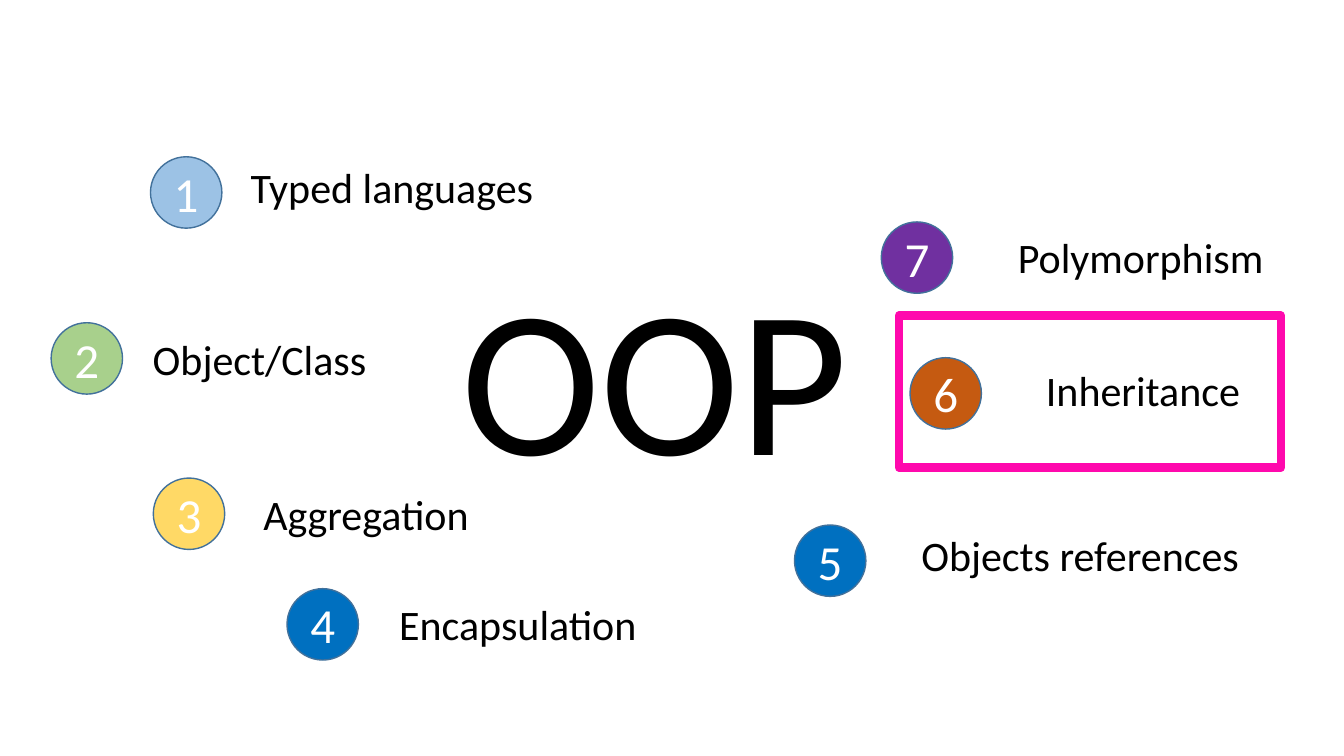
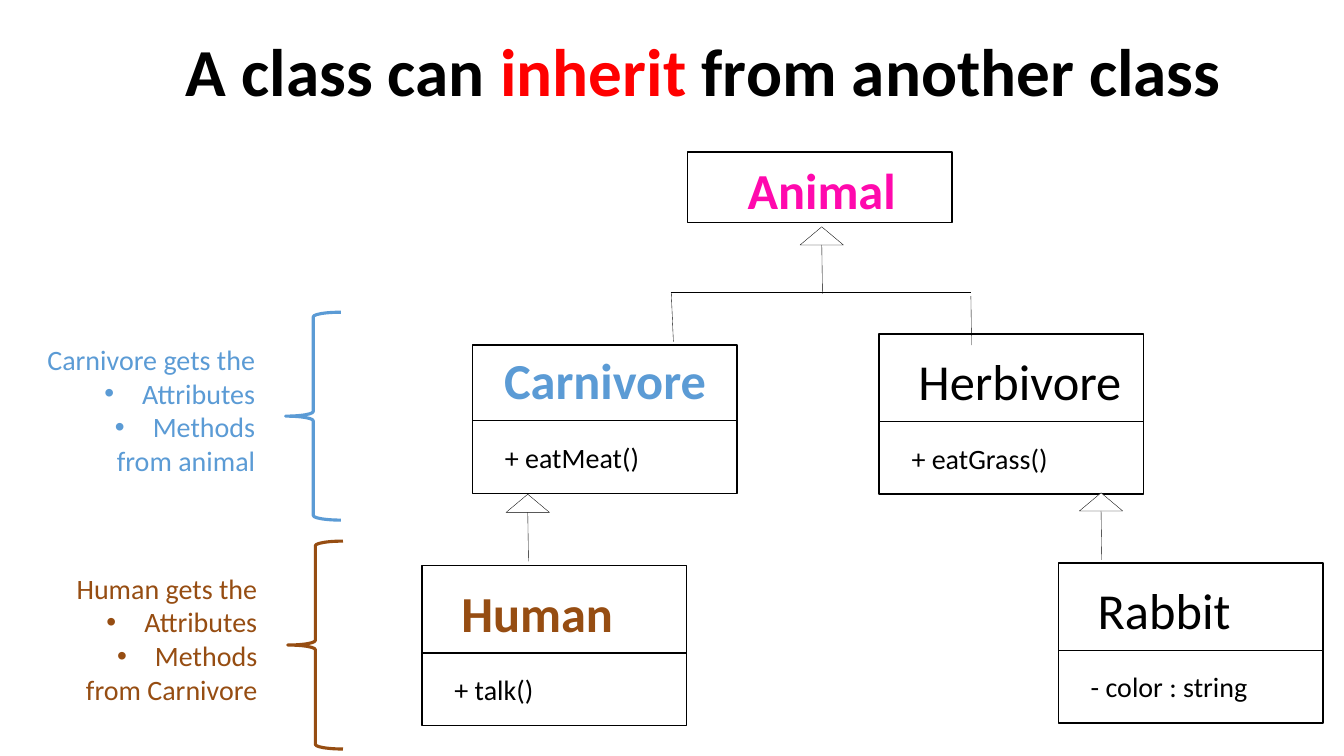
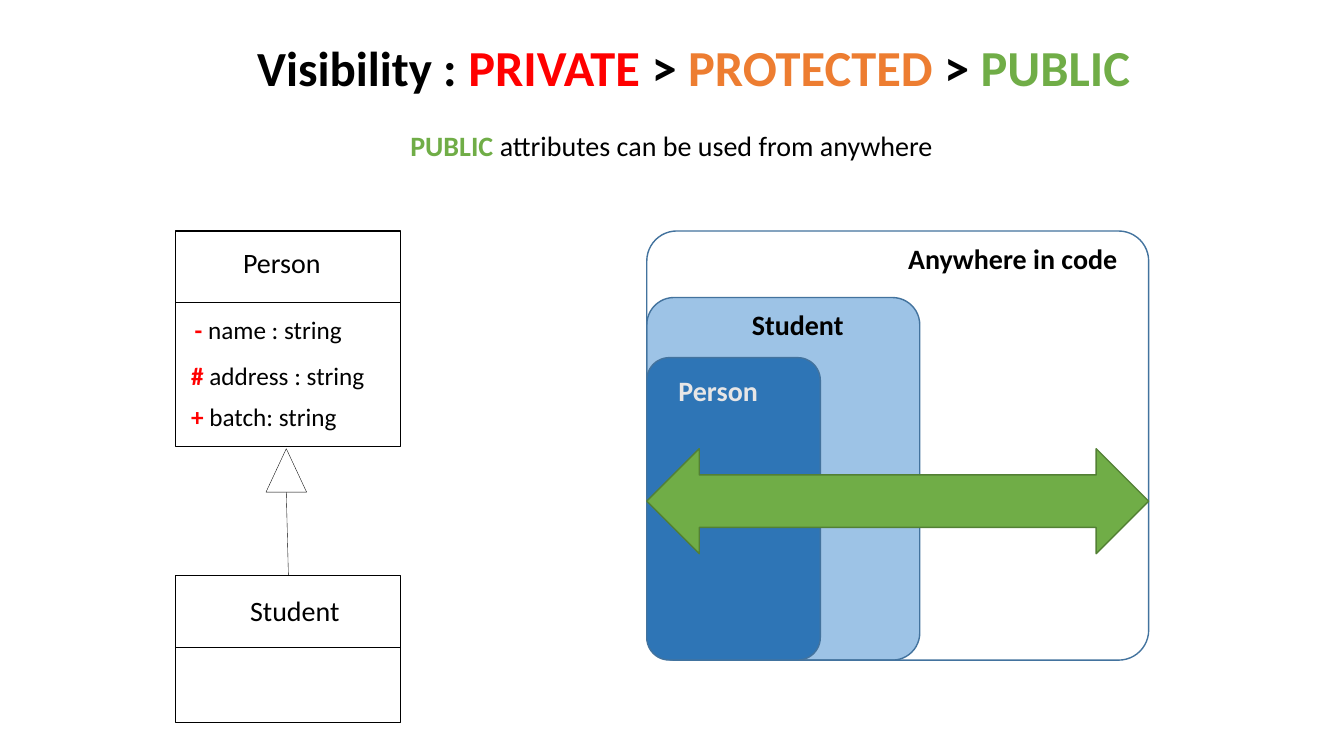
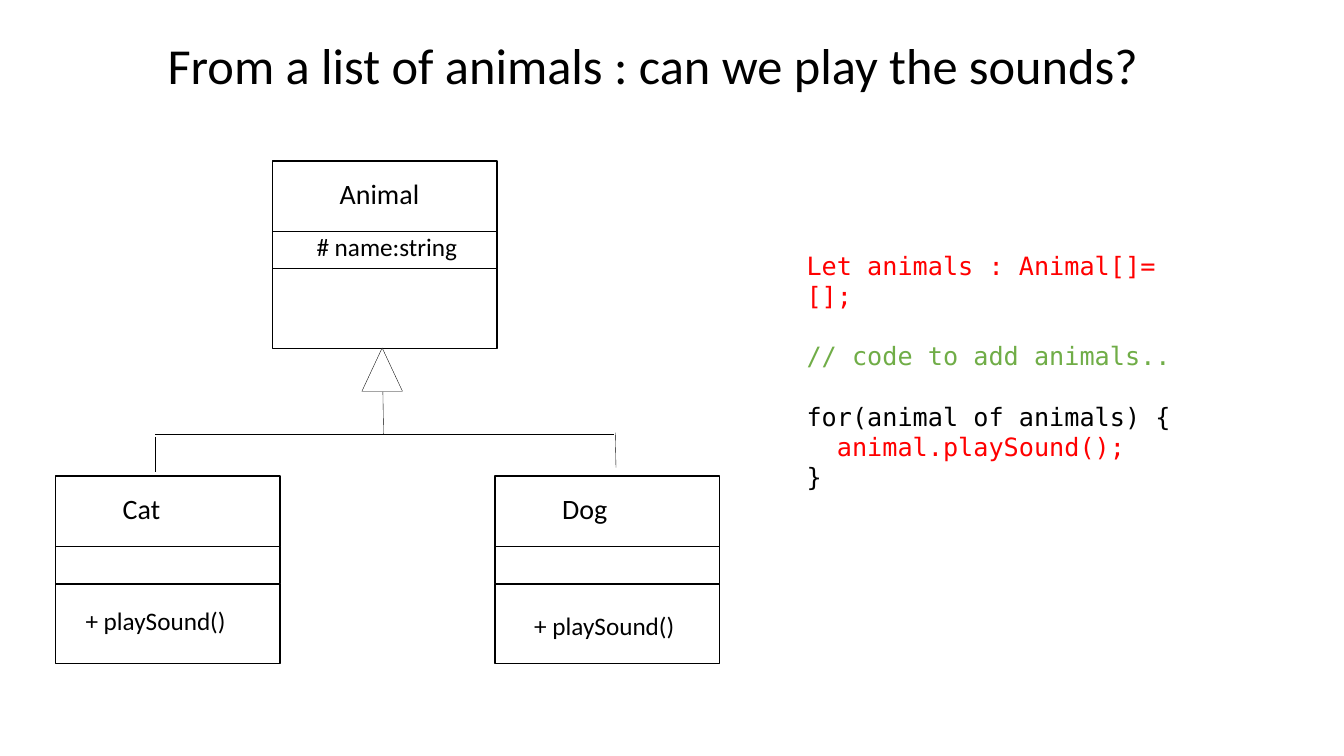
"""Build four slides on object-oriented programming and inheritance."""
import lxml.etree
import pptx
import pptx.dml.color
import pptx.enum.shapes
import pptx.enum.text
import pptx.oxml.ns
import pptx.slide
import pptx.util

Pt = pptx.util.Pt
SHAPE = pptx.enum.shapes.MSO_SHAPE
ALIGN = pptx.enum.text.PP_ALIGN
ANCHOR = pptx.enum.text.MSO_ANCHOR
qn = pptx.oxml.ns.qn
color_of = pptx.dml.color.RGBColor.from_string

BLACK, WHITE, RED, PINK = "000000", "FFFFFF", "FF0000", "FF09AD"
GREEN, ORANGE, BLUE, BROWN = "70AD47", "ED7D31", "5B9BD5", "964D12"
CIRCLE_EDGE, SCOPE_EDGE = "42719B", "43739E"
MONO = "DejaVu Sans Mono"
HAIRLINE = 0.25


def write(target, text, box=None, size=20, color=BLACK, bold=False, font="Calibri",
          align=ALIGN.LEFT, anchor=ANCHOR.TOP, new_paragraph=False, space_before=0):
    """Add a run to a shape, or to a new text box when given a slide."""
    shape = target
    if isinstance(target, pptx.slide.Slide):
        shape = target.shapes.add_textbox(0, 0, 0, 0)
    if box:
        shape.left, shape.top, shape.width, shape.height = map(Pt, box)
    frame = shape.text_frame
    frame.word_wrap = True
    frame.auto_size = pptx.enum.text.MSO_AUTO_SIZE.NONE
    frame.vertical_anchor = anchor
    paragraph = frame.add_paragraph() if new_paragraph else frame.paragraphs[-1]
    paragraph.alignment = align
    paragraph.space_before = Pt(space_before)
    run = paragraph.add_run()
    run.text = text
    run.font.name = font
    run.font.size = Pt(size)
    run.font.bold = bold
    run.font.color.rgb = color_of(color)
    return shape


def draw(slide, kind, left, top, width, height, fill=None, line=BLACK, weight=1):
    """Add a preset shape, or a straight line when kind is None."""
    if kind is None:
        straight = pptx.enum.shapes.MSO_CONNECTOR.STRAIGHT
        shape = slide.shapes.add_connector(
            straight, Pt(left), Pt(top), Pt(left + width), Pt(top + height))
    else:
        shape = slide.shapes.add_shape(kind, Pt(left), Pt(top), Pt(width), Pt(height))
        shape.shadow.inherit = False
        if fill:
            shape.fill.solid()
            shape.fill.fore_color.rgb = color_of(fill)
        else:
            shape.fill.background()
    shape.line.color.rgb = color_of(line)
    shape.line.width = Pt(weight)
    if kind is None:
        lxml.etree.SubElement(shape._element.spPr, qn("a:effectLst"))
    return shape


presentation = pptx.Presentation()
presentation.slide_width, presentation.slide_height = Pt(960), Pt(540)
title_only = presentation.slide_layouts[5]
two_content = presentation.slide_layouts[3]

slide = presentation.slides.add_slide(title_only)
write(slide.shapes.title, "OOP", box=(322.5, 171.5, 294, 189.5), size=150)
topics = [
    ("Typed languages", "9CC2E5", 107.5, 112, 172, 112),
    ("Object/Class", "A8D08C", 36.5, 230.5, 102, 234.5),
    ("Aggregation", "FFD966", 109.5, 341.5, 181, 345.5),
    ("Encapsulation", "0070C0", 205, 420.5, 278, 424),
    ("Objects references", "0070C0", 567.5, 375, 651, 374.5),
    ("Inheritance", "C55A11", 650, 255.5, 740, 256.5),
    ("Polymorphism", "7030A0", 629.5, 158.5, 720, 162),
]
for number, (topic, fill, left, top, label_left, label_top) in enumerate(topics, 1):
    circle = draw(slide, SHAPE.OVAL, left, top, 51, 51, fill, CIRCLE_EDGE)
    write(circle, str(number), size=35, color=WHITE, align=ALIGN.CENTER, anchor=ANCHOR.MIDDLE)
    label_width = 258 if topic == "Objects references" else 218
    write(slide, topic, box=(label_left, label_top, label_width, 44), size=30)
draw(slide, SHAPE.RECTANGLE, 642, 225.5, 273, 108.5, line=PINK, weight=6)

slide = presentation.slides.add_slide(two_content)
title = slide.shapes.title
title.left, title.top, title.width, title.height = map(Pt, (125.5, 17.5, 766, 65.5))
for text, color in [("A class can ", BLACK), ("inherit ", RED), ("from another class", BLACK)]:
    write(title, text, size=48, color=color, bold=True)

draw(slide, SHAPE.RECTANGLE, 491, 108.5, 189, 50.5, WHITE)
write(slide, "Animal", box=(527, 110, 124, 51), size=36, color=PINK, bold=True)
classes = [
    ("Carnivore", "+ eatMeat()", 337.5, 246.5, 54, 15.5, BLUE),
    ("Herbivore", "+ eatGrass()", 628, 238.5, 62.5, 21, BLACK),
    ("Human", "+ talk()", 301.5, 404, 62.5, 21, BROWN),
    ("Rabbit", "- color : string", 756, 402, 62.5, 21, BLACK),
]
for name, member, left, top, head_height, indent, color in classes:
    body_top = top + head_height
    draw(slide, SHAPE.RECTANGLE, left, top, 189, head_height, WHITE)
    draw(slide, SHAPE.RECTANGLE, left, body_top, 189, 52)
    write(slide, name, box=(left + indent, body_top - 54.5, 164, 51), size=36,
          color=color, bold=color != BLACK)
    write(slide, member, box=(left + 16, body_top + 10.5, 132, 31.5))
for left, top in [(571.5, 162), (771, 352), (361.5, 353)]:
    draw(slide, SHAPE.ISOSCELES_TRIANGLE, left, top, 31, 13, WHITE, weight=HAIRLINE)
    draw(slide, None, left + 15.5, top + 13, 0.5, 35, weight=HAIRLINE)
for line_box in [(479, 209, 214.5, 0), (479.5, 209, 1.5, 35), (693.5, 211.5, 0.5, 35)]:
    draw(slide, None, *line_box, weight=HAIRLINE)

inherited = [
    ("Carnivore gets the", "from animal", BLUE, 23, 241),
    ("Human gets the", "from Carnivore", BROWN, 24.5, 404.5),
]
for index, (opening, closing, color, left, top) in enumerate(inherited, 1):
    body = slide.placeholders[index]
    body.left, body.top, body.width, body.height = map(Pt, (left, top, 166.5, 104.5))
    for position, text in enumerate([opening, "Attributes", "Methods", closing]):
        write(body, text, color=color, align=ALIGN.RIGHT, new_paragraph=position > 0)
        properties = body.text_frame.paragraphs[-1]._p.get_or_add_pPr()
        bulleted = position in (1, 2)
        properties.set("marL", str(Pt(27) if bulleted else 0))
        properties.set("indent", str(Pt(-27) if bulleted else 0))
        if bulleted:
            lxml.etree.SubElement(properties, qn("a:buChar"), char="•")
        else:
            lxml.etree.SubElement(properties, qn("a:buNone"))
    draw(slide, SHAPE.LEFT_BRACE, left + 181, top - 18, 39.5, 148.5, line=color, weight=2.25)

slide = presentation.slides.add_slide(title_only)
title = slide.shapes.title
title.left, title.top, title.width, title.height = map(Pt, (176.5, 22.5, 672, 51))
title_runs = [
    ("Visibility : ", BLACK, 35), ("PRIVATE ", RED, 36), ("> ", BLACK, 36),
    ("PROTECTED ", ORANGE, 36), ("> ", BLACK, 36), ("PUBLIC", GREEN, 36),
]
for text, color, size in title_runs:
    write(title, text, size=size, color=color, bold=True)
subtitle = write(slide, "PUBLIC ", box=(286, 88.5, 396, 31.5), color=GREEN, bold=True)
write(subtitle, "attributes can be used from anywhere")

for name, top, height, divider, name_left, name_top in [
        ("Person", 165, 154, 216, 166.5, 172), ("Student", 411, 105, 462.5, 171.5, 420.5)]:
    draw(slide, SHAPE.RECTANGLE, 125.5, top, 160.5, height, WHITE)
    draw(slide, None, 125.5, divider, 160.5, 0)
    write(slide, name, box=(name_left, name_top, 82, 31.5))
for sign, attribute, left, top in [
        ("-", " name : string", 132, 221), ("#", " address : string", 129.5, 254),
        ("+", " batch: string", 129.5, 283)]:
    member = write(slide, sign, box=(left, top, 145, 29), size=18, color=RED, bold=True)
    write(member, attribute, size=18)
draw(slide, SHAPE.ISOSCELES_TRIANGLE, 190, 320.5, 29, 31, WHITE, weight=HAIRLINE)
draw(slide, None, 204.5, 351.5, 1.5, 59.5, weight=HAIRLINE)

scopes = [
    ("Student", 212.5, 195, "9DC3E6", 0.1, BLACK, 530, 216),
    ("Anywhere in code", 165, 358.5, None, 0.07, BLACK, 641.5, 169),
    ("Person", 255.5, 124, "2E75B6", 0.13, "E7E6E6", 477.5, 263),
]
for name, top, width, fill, rounding, color, name_left, name_top in scopes:
    scope = draw(slide, SHAPE.ROUNDED_RECTANGLE, 462, top, width, 471.5 - top, fill, SCOPE_EDGE)
    scope.adjustments[0] = rounding
    name_width = 168 if name == "Anywhere in code" else 84
    write(slide, name, box=(name_left, name_top, name_width, 31.5), color=color, bold=True)
draw(slide, SHAPE.LEFT_RIGHT_ARROW, 462, 320.5, 358.5, 75, GREEN, "538035")

slide = presentation.slides.add_slide(title_only)
write(slide.shapes.title, "From a list of animals : can we play the sounds?",
      box=(112.5, 21, 718, 51), size=36)
for name, left, top in [("Animal", 194.5, 115), ("Cat", 39.5, 340), ("Dog", 353.5, 340)]:
    row_top = top
    for row_height in (50.5, 26.5, 57):
        draw(slide, SHAPE.RECTANGLE, left, row_top, 160.5, row_height, WHITE)
        row_top += row_height
    write(slide, name, box=(left + 41, top + 7.5, 74, 31.5))
for member, left, top in [("# name:string", 219, 162), ("+ playSound()", 54, 428.5),
                          ("+ playSound()", 374.5, 432.5)]:
    write(slide, member, box=(left, top, 120, 29), size=18)
draw(slide, SHAPE.ISOSCELES_TRIANGLE, 258.5, 248.5, 29, 31, WHITE, weight=HAIRLINE)
for line_box in [(273.5, 280, 0.5, 30.5), (111, 310.5, 327.5, 0),
                 (110.5, 312, 0, 25), (439.5, 309, 0.5, 25)]:
    draw(slide, None, *line_box, weight=HAIRLINE)

code = write(slide, "Let animals : Animal[]= [];", box=(569, 175, 283.5, 204), size=18,
             color=RED, font=MONO)
for text, color, gap in [
        ("// code to add animals..", GREEN, 21.5), ("for(animal of animals) {", BLACK, 21.5),
        ("  animal.playSound();", RED, 0), ("}", BLACK, 0)]:
    write(code, text, size=18, color=color, font=MONO, new_paragraph=True, space_before=gap)

presentation.save("out.pptx")
